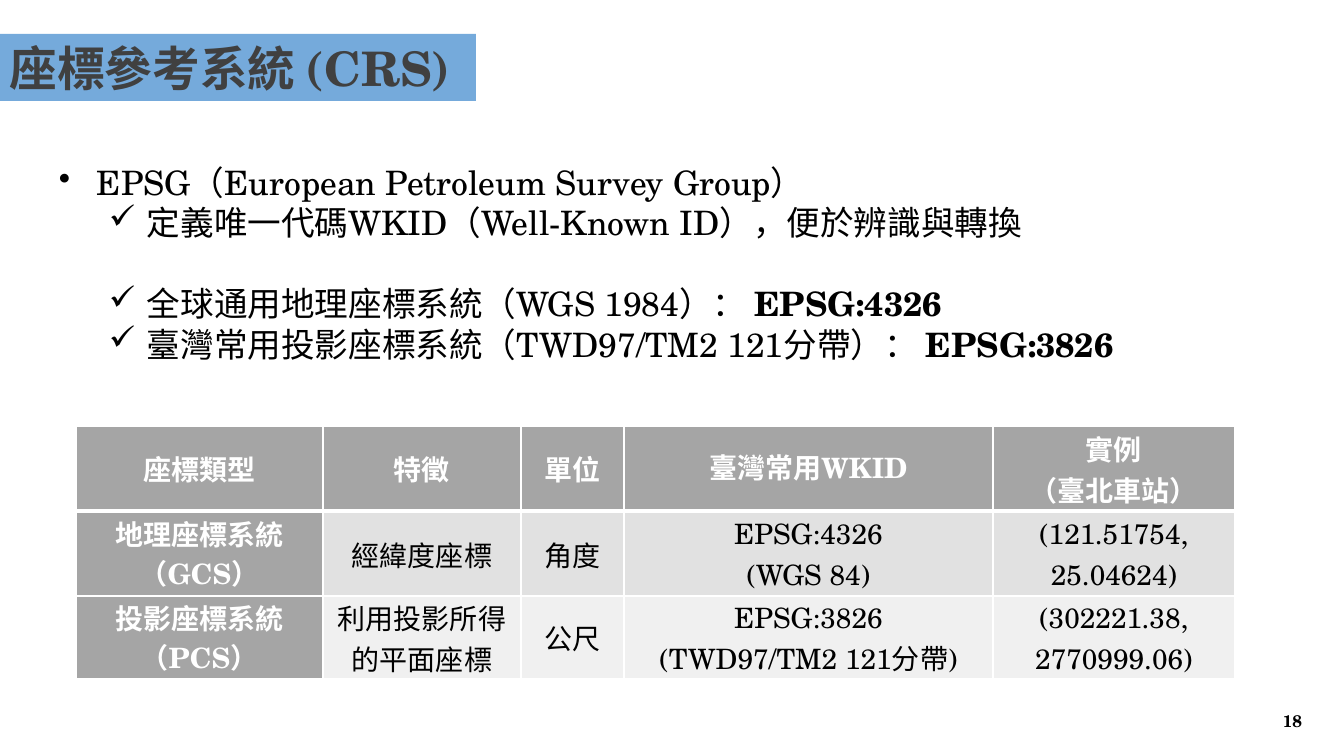
import pptx
import pptx.util
import pptx.dml.color
import pptx.enum.shapes
import pptx.enum.text
import pptx.oxml
import pptx.oxml.ns
import lxml.etree

PX = 914400 / 100.8
FONT = "TeX Gyre Schola"
COLORS = {"banner": "75AADB", "title": "404040", "text": "000000", "white": "FFFFFF",
          "header": "A5A5A5", "band1": "E1E1E1", "band2": "F0F0F0"}
ALIGN = pptx.enum.text.PP_ALIGN
ANCHOR = pptx.enum.text.MSO_ANCHOR


def px(*lengths):
    return [pptx.util.Emu(round(n * PX)) for n in lengths]


def add_run(paragraph, text, size, color, bold=False):
    run = paragraph.add_run()
    run.text = text
    formats = {"name": FONT, "size": pptx.util.Pt(size), "bold": bold}
    for key, value in formats.items():
        setattr(run.font, key, value)
    run.font.color.rgb = pptx.dml.color.RGBColor.from_string(COLORS[color])


deck = pptx.Presentation()
deck.slide_width, deck.slide_height = px(1344, 756)
slide = deck.slides.add_slide(deck.slide_layouts[6])

# Title banner
banner = slide.shapes.add_shape(pptx.enum.shapes.MSO_SHAPE.RECTANGLE, *px(0, 34, 476, 67))
banner.shadow.inherit = False
banner.fill.solid()
banner.fill.fore_color.rgb = pptx.dml.color.RGBColor.from_string(COLORS["banner"])
banner.line.fill.background()
banner.text_frame.word_wrap = False
banner.text_frame.vertical_anchor = ANCHOR.MIDDLE
title = banner.text_frame.paragraphs[0]
title.alignment = ALIGN.LEFT
add_run(title, "座標參考系統 (CRS)", 34, "title", True)

# Bulleted explanation: level, space before in points, plain text, bold text
points = [
    (0, 0, "EPSG（European Petroleum Survey Group）", ""),
    (1, 0, "定義唯一代碼WKID（Well-Known ID），便於辨識與轉換", ""),
    (1, 29, "全球通用地理座標系統（WGS 1984）： ", "EPSG:4326"),
    (1, 0, "臺灣常用投影座標系統（TWD97/TM2 121分帶）： ", "EPSG:3826"),
]
explanation = slide.shapes.add_textbox(*px(49, 157, 1286, 214)).text_frame
explanation.word_wrap = True
for i, (level, space, plain, code) in enumerate(points):
    point = explanation.add_paragraph() if i else explanation.paragraphs[0]
    point.level = level
    if space:
        point.space_before = pptx.util.Pt(space)
    indent = point._p.get_or_add_pPr()
    indent.set("marL", str(px(38 + 50 * level)[0]))
    indent.set("indent", str(px(-38)[0]))
    bullet = lxml.etree.SubElement(indent, pptx.oxml.ns.qn("a:buChar"))
    bullet.set("char", "•✓"[level])
    add_run(point, plain, 24, "text")
    if code:
        add_run(point, code, 24, "text", True)

# Comparison table: one line of a cell per paragraph
rows = [
    ["座標類型", "特徵", "單位", "臺灣常用WKID", "實例\n（臺北車站）"],
    ["地理座標系統\n（GCS）", "經緯度座標", "角度", "EPSG:4326\n(WGS 84)", "(121.51754, 25.04624)"],
    ["投影座標系統\n（PCS）", "利用投影所得的平面座標", "公尺",
     "EPSG:3826\n(TWD97/TM2 121分帶)", "(302221.38, 2770999.06)"],
]
column_widths = px(247, 198, 103, 369, 242)
row_heights = px(85, 85, 82)
table = slide.shapes.add_table(3, 5, *px(76, 426, 1159, 252)).table
for column, width in zip(table.columns, column_widths):
    column.width = width
for row, height in zip(table.rows, row_heights):
    row.height = height

cell_format = {"vertical_anchor": ANCHOR.MIDDLE, "margin_top": 0, "margin_bottom": 0,
               "margin_left": px(7)[0], "margin_right": px(7)[0]}
for r, texts in enumerate(rows):
    for c, text in enumerate(texts):
        cell = table.cell(r, c)
        heading = r == 0 or c == 0
        for key, value in cell_format.items():
            setattr(cell, key, value)
        # Borders go before the fill; the header is set off by a thicker one
        for side in "LRTB":
            thick = (r, side) in [(0, "B"), (1, "T")]
            cell._tc.get_or_add_tcPr().append(pptx.oxml.parse_xml(
                f'<a:ln{side} {pptx.oxml.ns.nsdecls("a")} w="{38100 if thick else 12700}">'
                f'<a:solidFill><a:srgbClr val="{COLORS["white"]}"/></a:solidFill></a:ln{side}>'))
        cell.fill.solid()
        fill = "header" if heading else f"band{r}"
        cell.fill.fore_color.rgb = pptx.dml.color.RGBColor.from_string(COLORS[fill])
        for i, line in enumerate(text.split("\n")):
            entry = cell.text_frame.add_paragraph() if i else cell.text_frame.paragraphs[0]
            entry.alignment = ALIGN.CENTER
            entry.line_spacing = pptx.util.Pt(29.5 if r else 29)
            add_run(entry, line, 20, "white" if heading else "text", heading)

# Slide number
number = slide.shapes.add_textbox(*px(1010, 701, 302, 40)).text_frame
number.word_wrap = True
number.vertical_anchor = ANCHOR.MIDDLE
number.paragraphs[0].alignment = ALIGN.RIGHT
add_run(number.paragraphs[0], "18", 12, "text", True)

deck.save("out.pptx")
